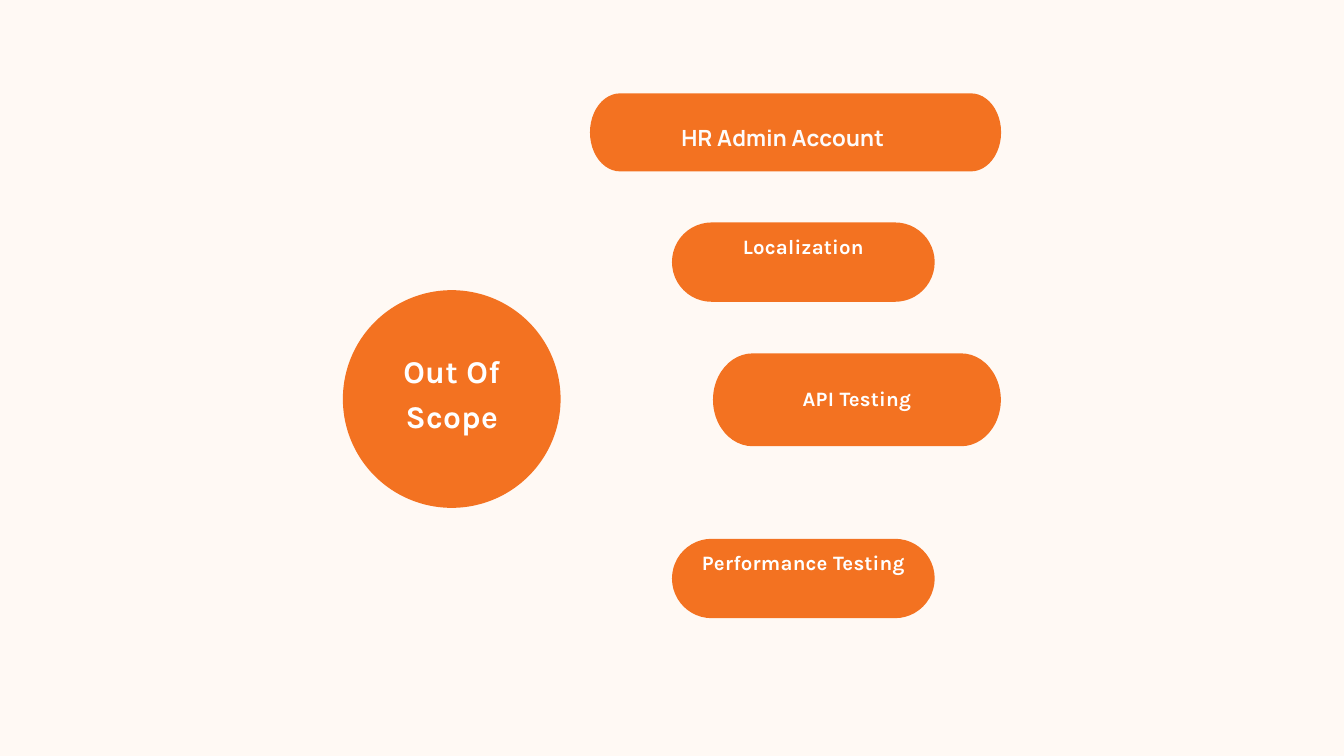
from lxml.etree import SubElement
from pptx import Presentation
from pptx.dml.color import RGBColor
from pptx.enum.shapes import MSO_SHAPE
from pptx.enum.text import MSO_ANCHOR, PP_ALIGN
from pptx.oxml.ns import qn
from pptx.util import Cm, Pt

CREAM = RGBColor(0xFF, 0xF9, 0xF4)
ORANGE = RGBColor(0xF3, 0x72, 0x21)
WHITE = RGBColor(0xFF, 0xFF, 0xFF)
OFF_WHITE = RGBColor(0xFD, 0xFB, 0xFB)
QUARTER_TURN = 90 * 60000


def paint(shape):
    shape.shadow.inherit = False
    shape.fill.solid()
    shape.fill.fore_color.rgb = ORANGE
    shape.line.fill.background()


def add_preset(slide, kind, left, top, width, height):
    shape = slide.shapes.add_shape(kind, Cm(left), Cm(top), Cm(width), Cm(height))
    paint(shape)
    return shape


def add_round_pill(slide, left, top, width, height):
    shape = add_preset(slide, MSO_SHAPE.ROUNDED_RECTANGLE, left, top, width, height)
    shape.adjustments[0] = 0.5


def add_oval_pill(slide, left, top, width, height, end_radius):
    right, bottom, middle = left + width, top + height, top + height / 2
    corners = [(right - end_radius, top), (right, middle),
               (right - end_radius, bottom), (left + end_radius, bottom),
               (left, middle), (left + end_radius, top)]
    points = [(Cm(x), Cm(y)) for x, y in corners]
    builder = slide.shapes.build_freeform(*points[0])
    builder.add_line_segments(points[1:], close=True)
    shape = builder.convert_to_shape()
    paint(shape)
    segments = list(shape._element.iter(qn("a:lnTo")))
    for index, quarter in ((0, 3), (1, 0), (3, 1), (4, 2)):
        outline = segments[index].getparent()
        arc = SubElement(outline, qn("a:arcTo"), wR=str(Cm(end_radius)),
                         hR=str(Cm(height / 2)), stAng=str(quarter * QUARTER_TURN),
                         swAng=str(QUARTER_TURN))
        outline.replace(segments[index], arc)


def add_label(slide, text, left, top, width, height, size, line_spacing,
              font_name="Karla", color=WHITE, tracking=20):
    box = slide.shapes.add_textbox(Cm(left), Cm(top), Cm(width), Cm(height))
    frame = box.text_frame
    frame.word_wrap = True
    frame.vertical_anchor = MSO_ANCHOR.MIDDLE
    frame.margin_left = frame.margin_right = Cm(0.15)
    frame.margin_top = frame.margin_bottom = 0
    paragraph = frame.paragraphs[0]
    paragraph.alignment = PP_ALIGN.CENTER
    paragraph.line_spacing = Pt(line_spacing)
    run = paragraph.add_run()
    run.text = text
    run.font._element.set("spc", str(tracking))
    font = paragraph.font
    font.name = font_name
    font.size = Pt(size)
    font.bold = True
    font.color.rgb = color


def main():
    presentation = Presentation()
    presentation.slide_width = Cm(50.8)
    presentation.slide_height = Cm(28.58)
    slide = presentation.slides.add_slide(presentation.slide_layouts[6])
    slide.background.fill.solid()
    slide.background.fill.fore_color.rgb = CREAM

    add_preset(slide, MSO_SHAPE.OVAL, 12.96, 10.97, 8.23, 8.23)
    add_label(slide, "Out Of Scope", 13.74, 11.07, 6.68, 7.37, 33.9, 47.5, tracking=30)

    add_oval_pill(slide, 22.3, 3.53, 15.54, 2.95, 1.14)

    for text, top in (("Localization", 8.41), ("Performance Testing", 20.37)):
        add_round_pill(slide, 25.4, top, 9.93, 3)
        add_label(slide, text, 25.4, top - 0.28, 9.93, 2.18, 21.9, 30.7)

    add_oval_pill(slide, 26.95, 13.36, 10.88, 3.51, 1.5)
    add_label(slide, "API Testing", 26.95, 13.08, 10.88, 3.78, 21.9, 30.7)

    add_label(slide, "HR Admin Account", 21.82, 4.55, 15.54, 1.17, 23.9, 33.5,
              font_name="Manrope", color=OFF_WHITE, tracking=24)

    presentation.save("out.pptx")


if __name__ == "__main__":
    main()
